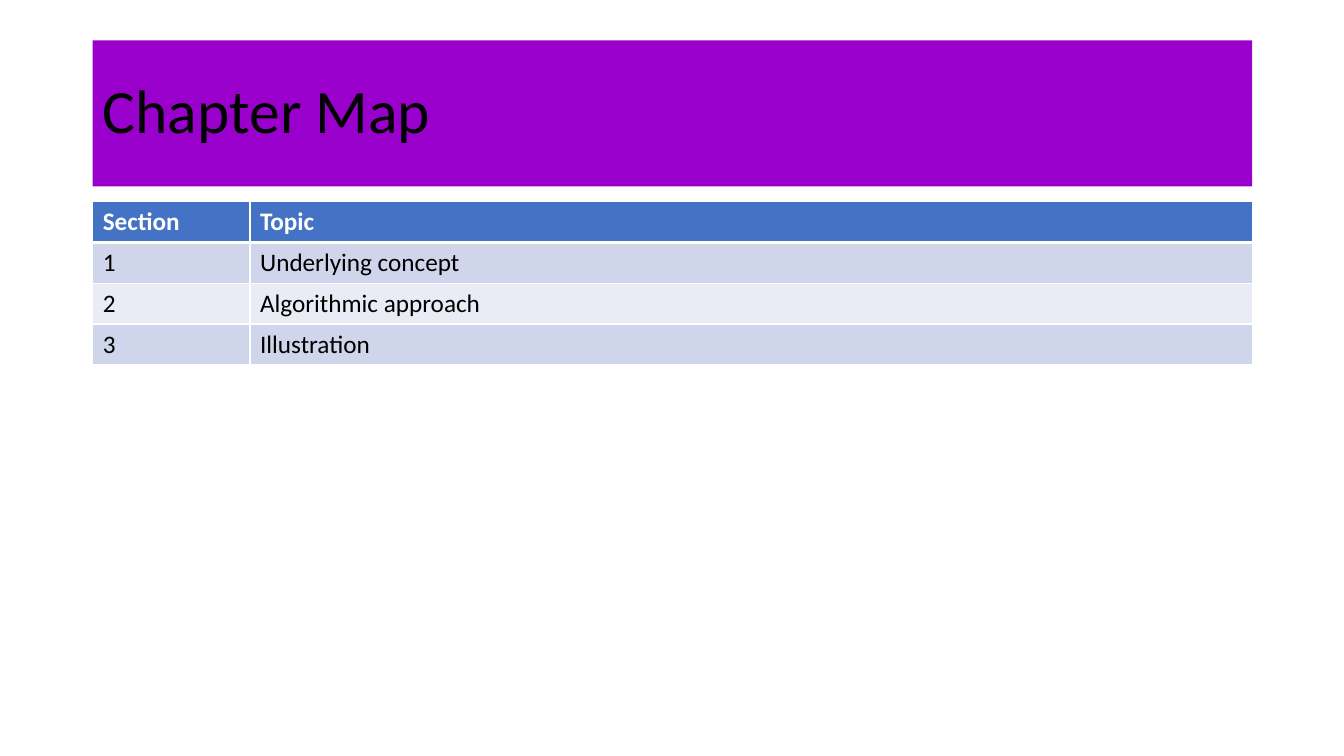
from dataclasses import dataclass

from lxml.etree import SubElement
from pptx import Presentation
from pptx.dml.color import RGBColor
from pptx.enum.text import MSO_ANCHOR
from pptx.oxml.ns import qn
from pptx.util import Inches, Pt

PURPLE = RGBColor(0x99, 0x00, 0xCC)
BLUE = RGBColor(0x44, 0x72, 0xC4)
BAND_DARK = RGBColor(0xCF, 0xD5, 0xEA)
BAND_LIGHT = RGBColor(0xE9, 0xEB, 0xF5)
WHITE = RGBColor(0xFF, 0xFF, 0xFF)
BLACK = RGBColor(0x00, 0x00, 0x00)

FONT = "Calibri"
LEFT, WIDTH = 0.92, 11.5
SECTION_W = 1.56
ROW_H = 1.62 / 4


@dataclass(frozen=True)
class MapRow:
    section: str
    topic: str


ROWS = [
    MapRow("Section", "Topic"),
    MapRow("1", "Underlying concept"),
    MapRow("2", "Algorithmic approach"),
    MapRow("3", "Illustration"),
]


def write(tf, text: str, *, size: float, color: RGBColor = BLACK,
          bold: bool = False, spacing: float = 1.0) -> None:
    p = tf.paragraphs[0]
    p.line_spacing = spacing
    r = p.add_run()
    r.text = text
    r.font.name, r.font.size, r.font.bold = FONT, Pt(size), bold
    r.font.color.rgb = color


def set_border(cell, side: str, width: float) -> None:
    ln = SubElement(cell._tc.get_or_add_tcPr(), qn(f"a:ln{side}"), w=str(Pt(width)))
    fill = SubElement(ln, qn("a:solidFill"))
    SubElement(fill, qn("a:srgbClr"), val=str(WHITE))


def draw_cell(cell, text: str, row: int) -> None:
    header = row == 0
    # Borders come before the fill in the cell's properties
    widths = {"L": 1, "R": 1, "T": 3 if row == 1 else 1, "B": 3 if header else 1}
    for side, width in widths.items():
        set_border(cell, side, width)
    cell.fill.solid()
    cell.fill.fore_color.rgb = BLUE if header else BAND_DARK if row % 2 else BAND_LIGHT
    write(cell.text_frame, text, size=18, color=WHITE if header else BLACK, bold=header)


prs = Presentation()
prs.slide_width, prs.slide_height = Inches(13.33), Inches(7.5)
s = prs.slides.add_slide(prs.slide_layouts[6])

# Title band
sp = s.shapes.add_textbox(Inches(LEFT), Inches(0.4), Inches(WIDTH), Inches(1.45))
sp.fill.solid()
sp.fill.fore_color.rgb = PURPLE
tf = sp.text_frame
tf.word_wrap = True
tf.vertical_anchor = MSO_ANCHOR.MIDDLE
write(tf, "Chapter Map", size=44, spacing=0.9)

# Chapter table
table = s.shapes.add_table(len(ROWS), 2, Inches(LEFT), Inches(2), Inches(WIDTH),
                           Inches(ROW_H * len(ROWS))).table
for column, width in zip(table.columns, (SECTION_W, WIDTH - SECTION_W)):
    column.width = Inches(width)
for i, row in enumerate(ROWS):
    for j, text in enumerate((row.section, row.topic)):
        draw_cell(table.cell(i, j), text, i)

prs.save("out.pptx")
